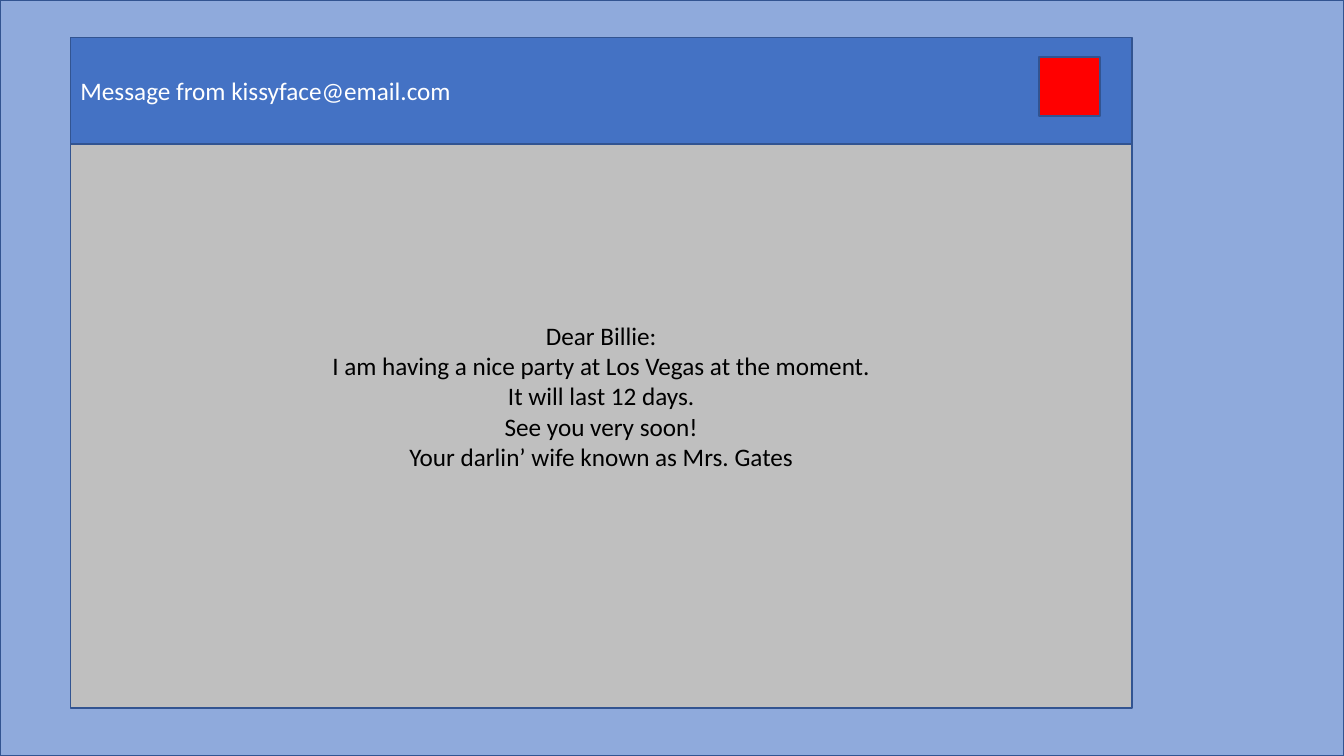
from pptx import Presentation
from pptx.dml.color import RGBColor
from pptx.enum import shapes, text
from pptx.util import Pt

BACKDROP = RGBColor(0x8F, 0xAA, 0xDC)
BLUE = RGBColor(0x44, 0x72, 0xC4)
OUTLINE = RGBColor(0x32, 0x54, 0x91)
GREY = RGBColor(0xBF, 0xBF, 0xBF)
RED = RGBColor(0xFF, 0x00, 0x00)
BLACK = RGBColor(0x00, 0x00, 0x00)
WHITE = RGBColor(0xFF, 0xFF, 0xFF)

SLIDE_W, SLIDE_H = 960, 540
WINDOW_X, WINDOW_Y, WINDOW_W = 50.4, 26.8, 758.2
TITLE_H, BODY_H = 76.2, 402.8

MESSAGE = [
    "Dear Billie:",
    "I am having a nice party at Los Vegas at the moment.",
    "It will last 12 days.",
    "See you very soon!",
    "Your darlin’ wife known as Mrs. Gates",
]


def add_box(slide, x, y, w, h, fill):
    sp = slide.shapes.add_shape(
        shapes.MSO_SHAPE.RECTANGLE, Pt(x), Pt(y), Pt(w), Pt(h))
    sp.shadow.inherit = False
    sp.fill.solid()
    sp.fill.fore_color.rgb = fill
    sp.line.color.rgb = OUTLINE
    sp.line.width = Pt(1)
    return sp


def write_lines(sp, lines, color, align):
    tf = sp.text_frame
    tf.word_wrap = True
    tf.vertical_anchor = text.MSO_ANCHOR.MIDDLE
    tf.text = "\n".join(lines)
    for p in tf.paragraphs:
        p.alignment = align
        p.font.name = "Calibri"
        p.font.size = Pt(18)
        p.font.color.rgb = color


def main():
    prs = Presentation()
    prs.slide_width, prs.slide_height = Pt(SLIDE_W), Pt(SLIDE_H)
    slide = prs.slides.add_slide(prs.slide_layouts[6])

    add_box(slide, 0, 0, SLIDE_W, SLIDE_H, BACKDROP)

    body = add_box(slide, WINDOW_X, WINDOW_Y + TITLE_H, WINDOW_W, BODY_H, GREY)
    write_lines(body, MESSAGE, BLACK, text.PP_ALIGN.CENTER)
    body.text_frame.margin_bottom = Pt(47)

    title = add_box(slide, WINDOW_X, WINDOW_Y, WINDOW_W, TITLE_H, BLUE)
    write_lines(title, ["Message from kissyface@email.com"], WHITE,
                text.PP_ALIGN.LEFT)

    add_box(slide, 742.2, 40.8, 43.6, 42, RED)

    prs.save("out.pptx")


if __name__ == "__main__":
    main()
